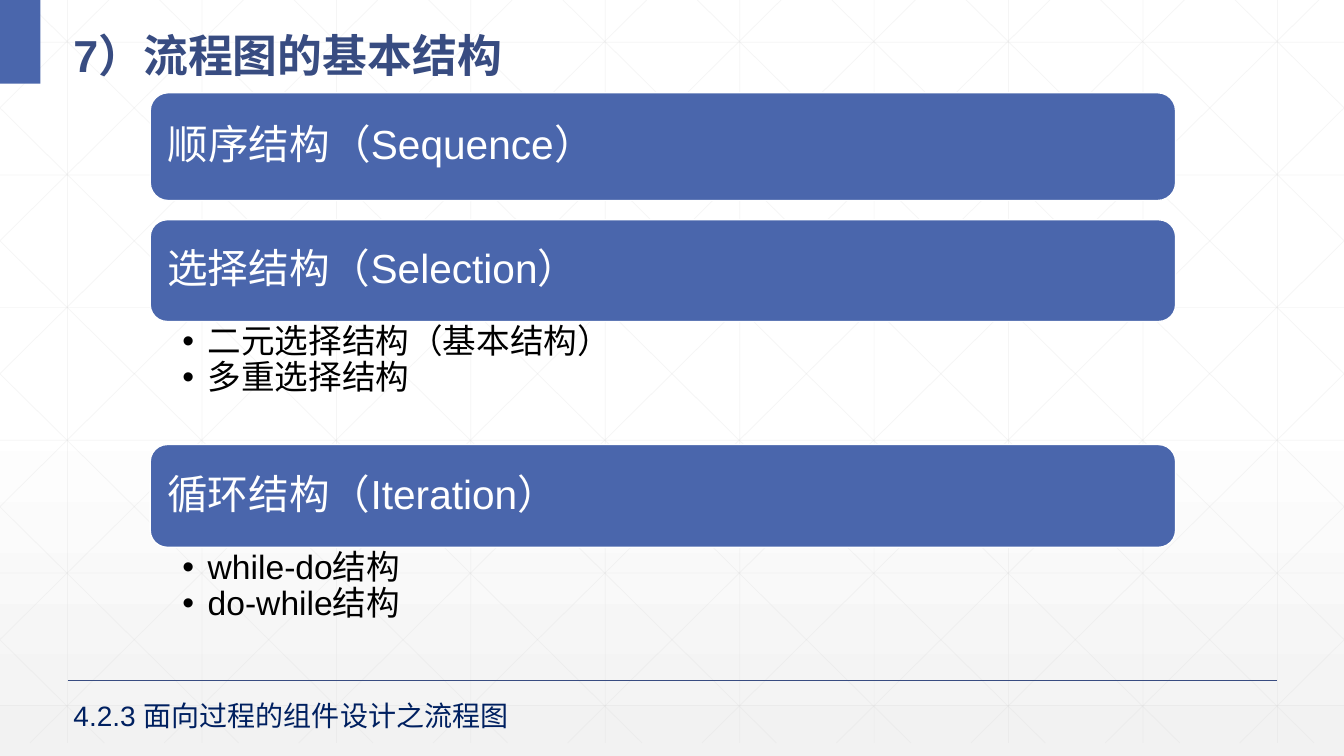
from lxml import etree
from pptx import Presentation
from pptx.dml.color import RGBColor
from pptx.enum.shapes import MSO_CONNECTOR as CONN, MSO_SHAPE as SHAPE
from pptx.enum.text import MSO_ANCHOR as ANCHOR, PP_ALIGN as ALIGN
from pptx.oxml.ns import qn
from pptx.util import Inches, Pt

COLORS = {"blue": "4A66AC", "navy": "384C81", "footer": "002060", "grid": "D9D9D9",
          "white": "FFFFFF", "gray": "F2F2F2", "black": "000000"}
RGB = {name: RGBColor.from_string(value) for name, value in COLORS.items()}
W, H = 13.33, 7.5


def add_line(shapes, x1, y1, x2, y2, color, width, alpha=None):
    ln = shapes.add_connector(CONN.STRAIGHT, *map(Inches, (x1, y1, x2, y2)))
    ln.line.color.rgb = RGB[color]
    ln.line.width = Pt(width)
    spPr = ln._element.spPr
    etree.SubElement(spPr, qn("a:effectLst"))
    if alpha:
        etree.SubElement(spPr.find(".//" + qn("a:srgbClr")), qn("a:alpha"), val=str(alpha * 1000))


def add_text(sp, lines, size, color, insets=(0.1, 0.05, 0.1, 0.05),
             anchor=ANCHOR.TOP, spacing=1.0, bold=False, bullet=False):
    tf = sp.text_frame
    frame = {"word_wrap": True, "vertical_anchor": anchor}
    frame.update(zip(("margin_left", "margin_top", "margin_right", "margin_bottom"),
                     map(Inches, insets)))
    for name, value in frame.items():
        setattr(tf, name, value)
    for i, line in enumerate(lines):
        p = tf.add_paragraph() if i else tf.paragraphs[0]
        p.alignment = ALIGN.LEFT
        p.line_spacing = spacing
        if bullet:
            pPr = p._p.get_or_add_pPr()
            pPr.set("marL", str(Inches(0.25)))
            pPr.set("indent", str(Inches(-0.25)))
            etree.SubElement(pPr, qn("a:buFont"), typeface="Arial")
            etree.SubElement(pPr, qn("a:buChar"), char="•")
        r = p.add_run()
        r.text = line
        for name, value in {"name": "Arial", "size": Pt(size), "bold": bold}.items():
            setattr(r.font, name, value)
        r.font.color.rgb = RGB[color]
        etree.SubElement(r._r.get_or_add_rPr(), qn("a:ea"), typeface="Noto Sans CJK SC")


prs = Presentation()
prs.slide_width, prs.slide_height = Inches(W), Inches(H)
s = prs.slides.add_slide(prs.slide_layouts[6])

# Background: white fading to light gray at the bottom
bg = s.background.fill
bg.gradient()
bg.gradient_angle = 270
for stop, position, color in zip(bg.gradient_stops, (0.53, 1), ("white", "gray")):
    stop.position = position
    stop.color.rgb = RGB[color]

# Faint grid: verticals, horizontals, and diagonals clipped at the slide edges
grid = s.shapes.add_group_shape().shapes
step, bottom, run = 4 / 3, 7.37, 7.45
segments = [(0.67 + step * i, 0, 0.67 + step * i, bottom) for i in range(10)]
segments += [(0, 0.42 + 1.316 * i, W, 0.42 + 1.316 * i) for i in range(6)]
for i in range(-5, 10):
    top_x = 0.25 + step * i
    x1, x2 = max(top_x, 0), min(top_x + run, W)
    y1, y2 = ((x - top_x) * bottom / run for x in (x1, x2))
    segments += [(x1, y1, x2, y2), (W - x1, y1, W - x2, y2)]
for segment in segments:
    add_line(grid, *segment, "grid", 0.5, alpha=25)

# Footer rule and corner block
add_line(s.shapes, 0.67, 6.75, 12.67, 6.75, "navy", 1)
corner = s.shapes.add_shape(SHAPE.RECTANGLE, 0, 0, Inches(0.4), Inches(0.83))
corner.shadow.inherit = False
corner.fill.solid()
corner.fill.fore_color.rgb = RGB["blue"]
corner.line.fill.background()

# Title
title = s.shapes.add_textbox(*map(Inches, (0.63, 0.1, 12.42, 0.73)))
add_text(title, ["7）流程图的基本结构"], 32, "navy",
         anchor=ANCHOR.MIDDLE, spacing=1.3, bold=True)

# Structures: heading bar, then its bullets directly below
structures = [
    (0.92, 1.07, "顺序结构（Sequence）", []),
    (2.18, 1.01, "选择结构（Selection）", ["二元选择结构（基本结构）", "多重选择结构"]),
    (4.41, 1.02, "循环结构（Iteration）", ["while-do结构", "do-while结构"]),
]
left, width = Inches(1.49), Inches(10.17)
for top, height, heading, items in structures:
    bar = s.shapes.add_shape(SHAPE.ROUNDED_RECTANGLE, left, Inches(top), width, Inches(height))
    bar.shadow.inherit = False
    bar.fill.solid()
    bar.fill.fore_color.rgb = RGB["blue"]
    bar.line.color.rgb = RGB["white"]
    bar.line.width = Pt(1)
    add_text(bar, [heading], 29, "white", (0.12,) * 4, ANCHOR.MIDDLE, 0.9)
    if items:
        box = s.shapes.add_textbox(left, Inches(top + height), width, Inches(1.22))
        add_text(box, items, 24, "black", (0.32, 0.03, 0.19, 0.03), spacing=0.9, bullet=True)

# Footer
footer = s.shapes.add_textbox(*map(Inches, (0.63, 6.88, 4.69, 0.44)))
add_text(footer, ["4.2.3 面向过程的组件设计之流程图"], 20, "footer")

prs.save("out.pptx")
